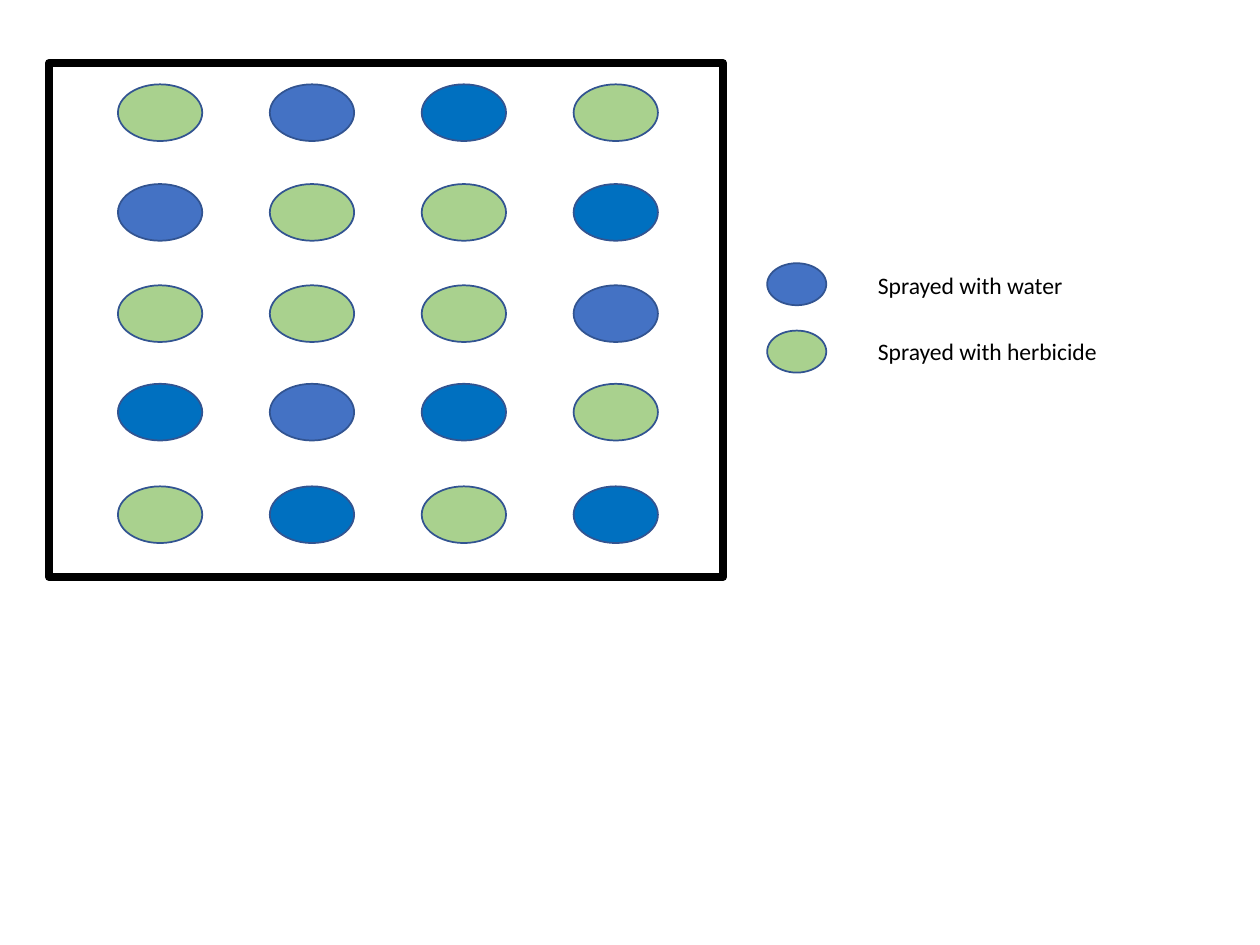
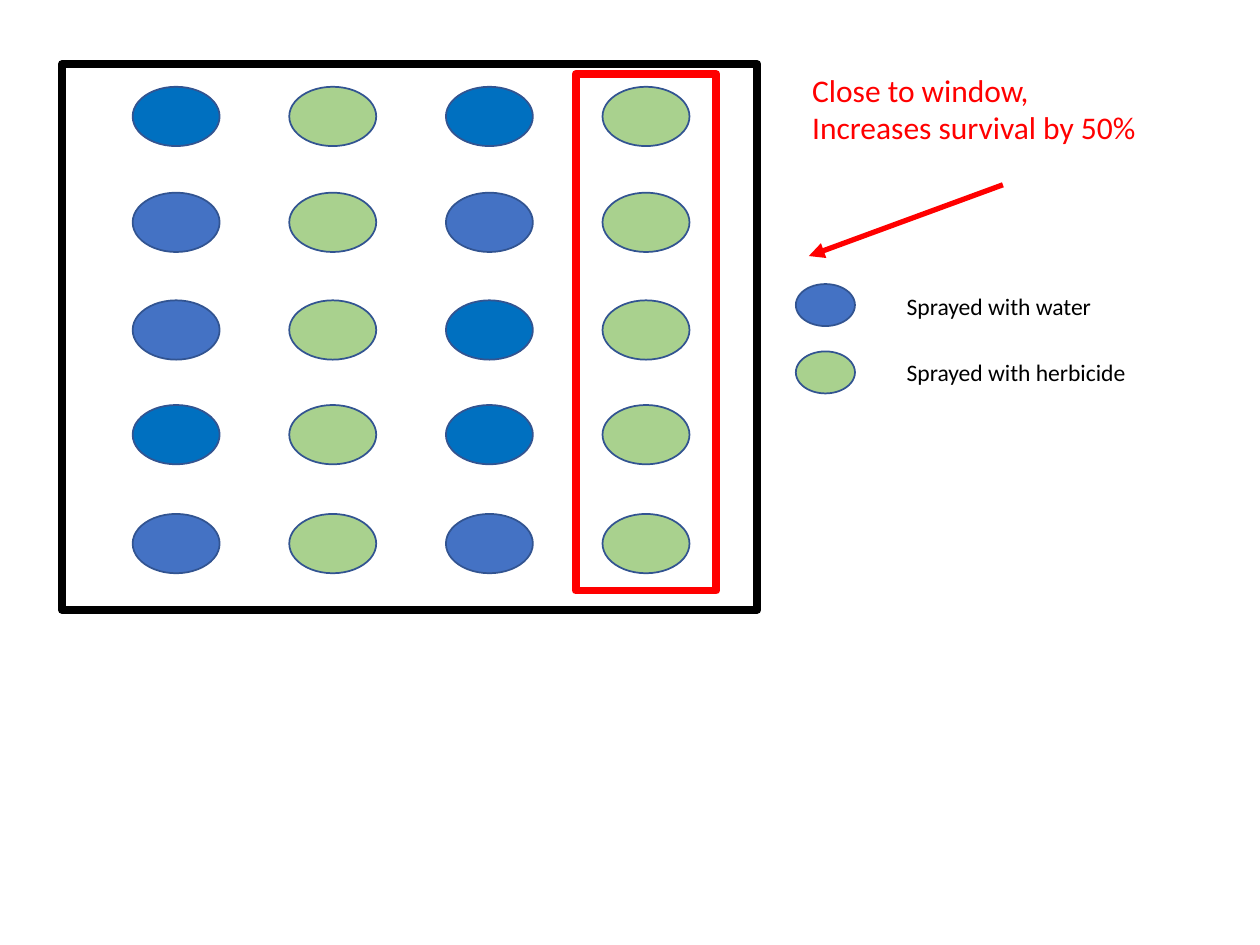
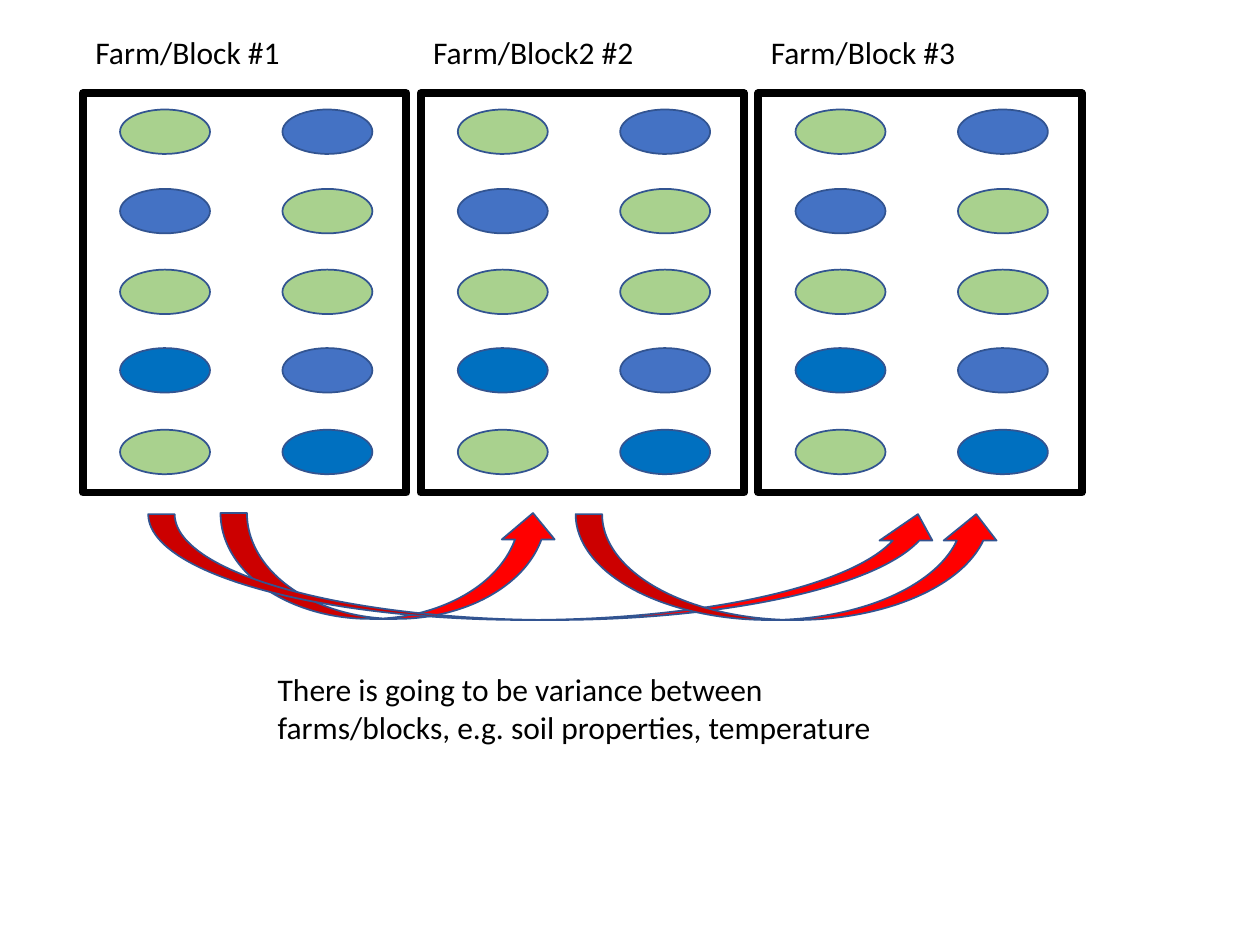
from lxml import etree
from pptx import Presentation
from pptx.dml.color import RGBColor
from pptx.enum import shapes, text
from pptx.oxml import ns
from pptx.util import Pt

FONT = "Calibri"
COLORS = {
    "herbicide": "A9D18E",
    "water": "4472C4",
    "deep_water": "0070C0",
    "outline": "325491",
    "black": "000000",
    "red": "FF0000",
}
TREATMENTS = {"H": "herbicide", "W": "water", "D": "deep_water"}
ROW_PERCENTS = (0, 24.8, 50, 74.5, 100)

RANDOMIZED = {
    "frame": (28, 36, 385.2, 293.8),
    "first_pot": (67.4, 48.2, 48.2, 32.4),
    "column_step": 86.8,
    "row_span": 229.7,
    "rows": ["HWDH", "WHHD", "HHHW", "DWDH", "HDHD"],
}
CONFOUNDED = {
    "frame": (35.4, 36.7, 397.4, 311.8),
    "first_pot": (75.8, 49.6, 49.7, 33.9),
    "column_step": 89.5,
    "row_span": 244.1,
    "rows": ["DHDH", "WHWH", "WHDH", "DHDH", "WHWH"],
}
BLOCK = {
    "frame": (47.4, 53.3, 184.8, 228.2),
    "first_pot": (68.6, 62.6, 51.4, 25.4),
    "column_step": 92.8,
    "row_span": 183,
    "rows": ["HW", "WH", "HH", "DW", "HD"],
}
BLOCK_TITLES = ["Farm/Block #1", "Farm/Block2 #2", "Farm/Block #3"]
BLOCK_STEP = 193
BLOCK_TITLE_TOP = 15.1

LEGEND = [("water", "Sprayed with water"), ("herbicide", "Sprayed with herbicide")]
RANDOMIZED_LEGEND = (438.4, 150.4)
CONFOUNDED_LEGEND = (454.8, 162.3)

WINDOW_COLUMN = (329, 42.3, 80.3, 295.2)
WINDOW_ARROW = (573.1, 105.6, 462.2, 146.3)
WINDOW_NOTE = ["Close to window,", "Increases survival by 50%"]
WINDOW_NOTE_BOX = (457, 36.8, 201.8, 50.9)

VARIANCE_ARROWS = [(126, 293.2, 193.7, 60.5), (84.7, 293.8, 455, 60.5), (329, 293.8, 244, 60.5)]
VARIANCE_NOTE = [
    "There is going to be variance between farms/blocks, e.g. soil properties, temperature"
]
VARIANCE_NOTE_BOX = (151.6, 379.4, 388, 50.9)


def rgb(name):
    return RGBColor.from_string(COLORS[name])


def add_shape(parent, kind, box, fill=None, line="outline", width=1):
    sp = parent.shapes.add_shape(kind, *map(Pt, box))
    sp.shadow.inherit = False
    if fill:
        sp.fill.solid()
        sp.fill.fore_color.rgb = rgb(fill)
    else:
        sp.fill.background()
    sp.line.color.rgb = rgb(line)
    sp.line.width = Pt(width)


def add_oval(parent, box, fill):
    add_shape(parent, shapes.MSO_SHAPE.OVAL, box, fill)


def add_frame(parent, box, color="black"):
    add_shape(parent, shapes.MSO_SHAPE.RECTANGLE, box, line=color, width=4.5)


def add_text(parent, lines, box, size=18, color="black"):
    tf = parent.shapes.add_textbox(*map(Pt, box)).text_frame
    tf.word_wrap = True
    tf.auto_size = text.MSO_AUTO_SIZE.SHAPE_TO_FIT_TEXT
    tf.text = "\n".join(lines)
    for p in tf.paragraphs:
        p.font.name = FONT
        p.font.size = Pt(size)
        p.font.color.rgb = rgb(color)


def add_pots(s, field, shift=0):
    group = s.shapes.add_group_shape()
    left, top, width, height = field["first_pot"]
    for percent, row in zip(ROW_PERCENTS, field["rows"]):
        y = top + field["row_span"] * percent / 100
        for column, code in enumerate(row):
            x = left + shift + column * field["column_step"]
            add_oval(group, (x, y, width, height), TREATMENTS[code])
    x, y, width, height = field["frame"]
    add_frame(group, (x + shift, y, width, height))
    return group


def add_legend(s, left, top):
    group = s.shapes.add_group_shape()
    for i, (treatment, label) in enumerate(LEGEND):
        add_oval(group, (left, top + i * 38.5, 33.8, 24), treatment)
        add_text(group, [label], (left + 56.2, top + 1 + i * 37.6, 281.5, 23.8), 13.5)


def add_arrow(s, x1, y1, x2, y2):
    line = s.shapes.add_connector(shapes.MSO_CONNECTOR.STRAIGHT, *map(Pt, (x1, y1, x2, y2)))
    line.line.color.rgb = rgb("red")
    line.line.width = Pt(3)
    etree.SubElement(line.line._get_or_add_ln(), ns.qn("a:tailEnd"), type="triangle")
    etree.SubElement(line._element.spPr, ns.qn("a:effectLst"))


def main():
    prs = Presentation()
    prs.slide_width, prs.slide_height = Pt(720), Pt(540)
    randomized, confounded, blocked = [
        prs.slides.add_slide(prs.slide_layouts[6]) for _ in range(3)
    ]

    add_pots(randomized, RANDOMIZED)
    add_legend(randomized, *RANDOMIZED_LEGEND)

    add_pots(confounded, CONFOUNDED)
    add_legend(confounded, *CONFOUNDED_LEGEND)
    add_frame(confounded, WINDOW_COLUMN, "red")
    add_arrow(confounded, *WINDOW_ARROW)
    add_text(confounded, WINDOW_NOTE, WINDOW_NOTE_BOX, color="red")

    left, _, width, _ = BLOCK["frame"]
    for i, title in enumerate(BLOCK_TITLES):
        group = add_pots(blocked, BLOCK, i * BLOCK_STEP)
        add_text(group, [title], (left + i * BLOCK_STEP, BLOCK_TITLE_TOP, width, 29))
    for box in VARIANCE_ARROWS:
        add_shape(blocked, shapes.MSO_SHAPE.CURVED_UP_ARROW, box, "red")
    add_text(blocked, VARIANCE_NOTE, VARIANCE_NOTE_BOX)

    prs.save("out.pptx")


if __name__ == "__main__":
    main()
